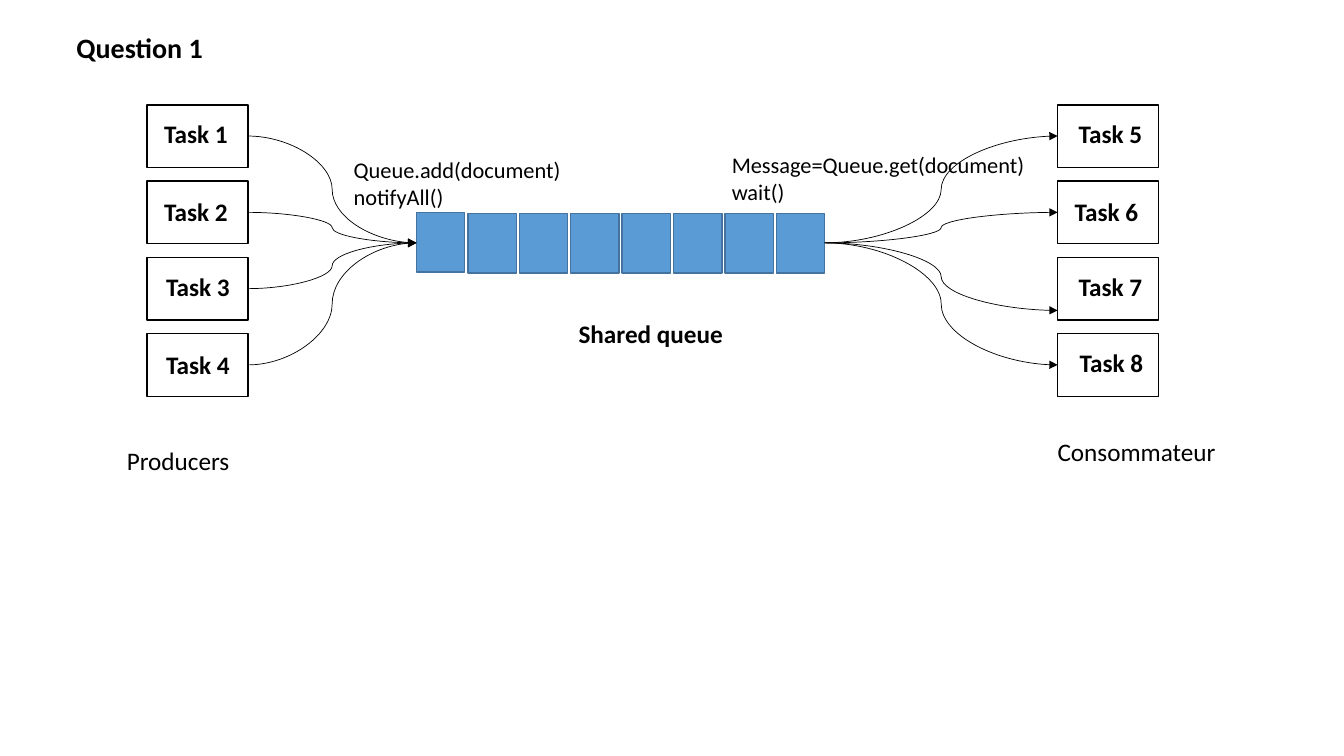
"""Build a slide of producers and consumers around a shared queue."""
from lxml.etree import SubElement
from pptx import Presentation
from pptx.dml.color import RGBColor
from pptx.enum.shapes import MSO_CONNECTOR, MSO_SHAPE
from pptx.enum.text import MSO_AUTO_SIZE
from pptx.oxml.ns import qn
from pptx.util import Inches, Pt

COLORS = {"ink": "000000", "cell": "5B9BD5", "edge": "43739E"}


class Board:
    def __init__(self, slide):
        self.shapes = slide.shapes
        self.font = {"name": "Calibri", "size": Pt(18), "bold": False}
        self.frame = {"word_wrap": False, "auto_size": MSO_AUTO_SIZE.SHAPE_TO_FIT_TEXT}

    def color(self, name):
        return RGBColor.from_string(COLORS[name])

    def stroke(self, line, name, width):
        line.color.rgb = self.color(name)
        line.width = Pt(width)

    def box(self, kind, at, edge, fill=None):
        shape = self.shapes.add_shape(kind, *map(Inches, at))
        shape.shadow.inherit = False
        if fill:
            shape.fill.solid()
            shape.fill.fore_color.rgb = self.color(fill)
        else:
            shape.fill.background()
        self.stroke(shape.line, edge, 1)

    def curve(self, start, end):
        link = self.shapes.add_connector(MSO_CONNECTOR.CURVE, *map(Inches, start + end))
        self.stroke(link.line, "ink", 0.5)
        SubElement(link.line._get_or_add_ln(), qn("a:tailEnd"), type="triangle")
        SubElement(link._element.spPr, qn("a:effectLst"))

    def label(self, text, at, **style):
        frame = self.shapes.add_textbox(*map(Inches, at)).text_frame
        for key, value in self.frame.items():
            setattr(frame, key, value)
        frame.text = text
        for para in frame.paragraphs:
            for key, value in {**self.font, **style}.items():
                setattr(para.font, key, value)
            para.font.color.rgb = self.color("ink")


def main():
    deck = Presentation()
    deck.slide_width, deck.slide_height = Inches(13.33), Inches(7.5)
    board = Board(deck.slides.add_slide(deck.slide_layouts[6]))

    rows = [1.04 + 0.757 * i for i in range(4)]
    for left in (1.46, 10.49):
        for top in rows:
            board.box(MSO_SHAPE.RECTANGLE, (left, top, 1, 0.62), "ink")
    for i in range(8):
        top = 2.12 if i else 2.11
        board.box(MSO_SHAPE.FLOWCHART_PROCESS, (4.13 + 0.51 * i, top, 0.48, 0.59), "edge", "cell")

    mids = [top + 0.31 for top in rows]
    for mid in mids:
        board.curve((2.46, mid), (4.13, 2.41))
    for mid in mids[:2] + [3.08] + mids[3:]:
        board.curve((8.18, 2.41), (10.49, mid))

    spots = [(1.53, 1.12), (1.53, 1.9), (1.55, 2.64), (1.55, 3.42),
             (10.6, 1.12), (10.56, 1.9), (10.6, 2.64), (10.61, 3.4)]
    for num, spot in enumerate(spots, 1):
        board.label(f"Task {num}", spot + (0.84, 0.4), bold=True)
    board.label("Shared queue", (5.64, 3.11, 1.64, 0.4), bold=True)
    board.label("Queue.add(document)\nnotifyAll()", (3.41, 1.5, 2.28, 0.64), size=Pt(16))
    board.label("Message=Queue.get(document)\nwait()", (7.16, 1.45, 3.14, 0.64), size=Pt(16))
    board.label("Question 1", (0.66, 0.25, 1.47, 0.44), size=Pt(20), bold=True)
    board.label("Producers", (1.16, 4.37, 1.23, 0.4))
    board.label("Consommateur", (10.39, 4.28, 1.79, 0.4))
    deck.save("out.pptx")


if __name__ == "__main__":
    main()
